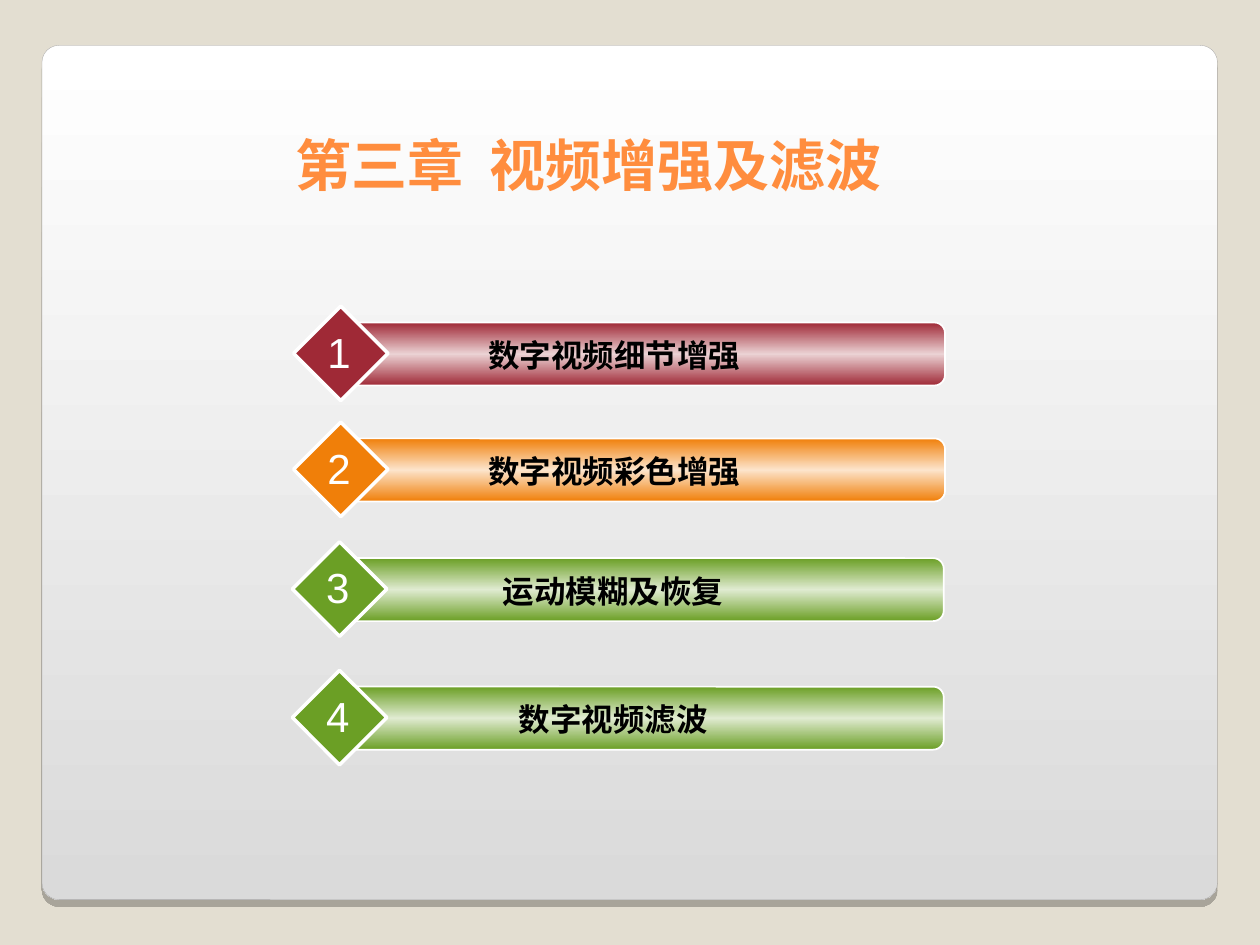
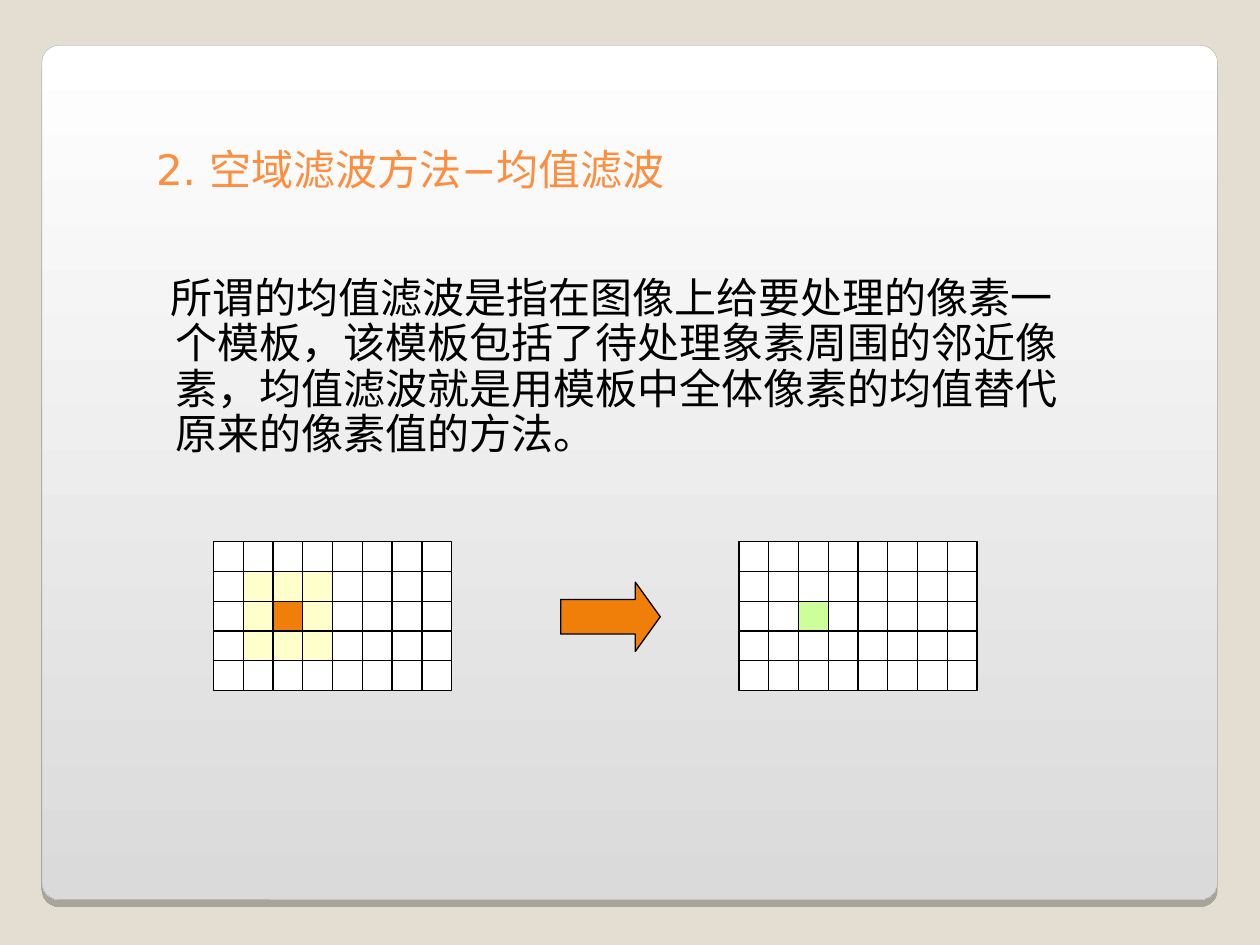
from collections import namedtuple

from lxml import etree
from pptx import Presentation
from pptx import util as u
from pptx.dml.color import RGBColor
from pptx.enum import shapes, text
from pptx.oxml.ns import qn

# The slide is a grid of 100 columns by 75 rows of square units.
COLUMNS, ROWS = 100, 75
UNIT = u.Inches(0.1)

SAND = RGBColor(0xE3, 0xDE, 0xD1)
PANEL_LINE = RGBColor(0xA4, 0xA3, 0xA3)
PANEL_GREY = RGBColor(0xDA, 0xDA, 0xDA)
TITLE_ORANGE = RGBColor(0xFF, 0x8D, 0x3E)
WHITE = RGBColor(0xFF, 0xFF, 0xFF)
BLACK = RGBColor(0x00, 0x00, 0x00)
RED = RGBColor(0x9F, 0x29, 0x36)
PALE_RED = RGBColor(0xEB, 0xD2, 0xD4)
ORANGE = RGBColor(0xF0, 0x7F, 0x09)
PALE_ORANGE = RGBColor(0xFC, 0xE4, 0xCB)
GREEN = RGBColor(0x6B, 0x9F, 0x25)
PALE_GREEN = RGBColor(0xE0, 0xEB, 0xD1)
CREAM = RGBColor(0xFF, 0xFF, 0xCC)
LIME = RGBColor(0xCC, 0xFF, 0x99)

CHINESE_FONT = "Noto Sans CJK SC"
NUMBER_FONT = "Arial"
BODY_FONT = "DejaVu Sans"

Box = namedtuple("Box", "left top width height")

CHAPTER_ITEMS = [
    (Box(23.3, 24.3, 51.7, 7.5), "数字视频细节增强", RED, PALE_RED),
    (Box(23.3, 33.5, 51.7, 7.5), "数字视频彩色增强", ORANGE, PALE_ORANGE),
    (Box(23.2, 43.0, 51.7, 7.5), "运动模糊及恢复", GREEN, PALE_GREEN),
    (Box(23.2, 53.2, 51.7, 7.5), "数字视频滤波", GREEN, PALE_GREEN),
]
MEAN_FILTER_TEXT = (
    "所谓的均值滤波是指在图像上给要处理的像素一个模板，"
    "该模板包括了待处理象素周围的邻近像素，"
    "均值滤波就是用模板中全体像素的均值替代原来的像素值的方法。"
)


def inside(box, left, top, width, height):
    return Box(box.left + left, box.top + top, width, height)


def to_emu(box):
    return [round(length * UNIT) for length in box]


def fill_gradient(shape, colors):
    """Spread the colours evenly from top to bottom."""
    shape.fill.gradient()
    shape.fill.gradient_angle = 270
    stops = shape._element.spPr.find(qn("a:gradFill")).find(qn("a:gsLst"))
    for stop in list(stops):
        stops.remove(stop)
    for index, color in enumerate(colors):
        position = round(100000 * index / (len(colors) - 1))
        stop = etree.SubElement(stops, qn("a:gs"), pos=str(position))
        etree.SubElement(stop, qn("a:srgbClr"), val=str(color))


def add_figure(parent, kind, box, colors, line_color, line_width):
    shape = parent.shapes.add_shape(kind, *to_emu(box))
    shape.shadow.inherit = False
    if len(colors) == 1:
        shape.fill.solid()
        shape.fill.fore_color.rgb = colors[0]
    else:
        fill_gradient(shape, colors)
    shape.line.color.rgb = line_color
    shape.line.width = u.Pt(line_width)
    return shape


def add_text(parent, box, words, font_name, size, color, bold=False,
             align=text.PP_ALIGN.LEFT, anchor=text.MSO_ANCHOR.TOP, wrap=True):
    text_frame = parent.shapes.add_textbox(*to_emu(box)).text_frame
    text_frame.word_wrap = wrap
    text_frame.vertical_anchor = anchor
    text_frame.text = words
    paragraph = text_frame.paragraphs[0]
    paragraph.alignment = align
    run = paragraph.runs[0]
    run.font.name = font_name
    run.font.size = u.Pt(size)
    run.font.bold = bold
    run.font.color.rgb = color
    etree.SubElement(run.font._element, qn("a:ea"), typeface=font_name)
    return text_frame


def add_title(slide, box, words, font_name, size, anchor, bold=False):
    add_text(slide, box, words, font_name, size, TITLE_ORANGE, bold, anchor=anchor)


def add_panel(slide, box):
    panel = add_figure(slide, shapes.MSO_SHAPE.ROUNDED_RECTANGLE, box,
                       [WHITE, PANEL_GREY], PANEL_LINE, 0.17)
    panel.adjustments[0] = 0.02
    effects = panel._element.spPr.find(qn("a:effectLst"))
    shadow = etree.SubElement(effects, qn("a:outerShdw"), blurRad="0",
                              dist=str(u.Pt(4)), dir="5400000",
                              algn="t", rotWithShape="0")
    color = etree.SubElement(shadow, qn("a:srgbClr"), val=str(BLACK))
    etree.SubElement(color, qn("a:alpha"), val="25000")


def add_framed_slide(presentation):
    slide = presentation.slides.add_slide(presentation.slide_layouts[6])
    slide.background.fill.solid()
    slide.background.fill.fore_color.rgb = SAND
    add_panel(slide, Box(3.33, 3.6, 93.3, 67.8))
    return slide


def add_chapter_item(slide, box, number, label, color, pale_color):
    group = slide.shapes.add_group_shape()
    add_figure(group, shapes.MSO_SHAPE.ROUNDED_RECTANGLE,
               inside(box, 4.2, 1.3, 47.5, 5), [color, pale_color, color], WHITE, 1)
    add_figure(group, shapes.MSO_SHAPE.DIAMOND,
               inside(box, 0, 0, box.height, box.height), [color], WHITE, 2)
    add_text(group, inside(box, 6.7, 1.9, 37.5, 4), label, CHINESE_FONT, 18,
             BLACK, bold=True, align=text.PP_ALIGN.CENTER)
    add_text(group, inside(box, 1.7, 1.1, 3.8, 5), str(number), NUMBER_FONT, 24,
             WHITE, align=text.PP_ALIGN.CENTER, wrap=False)


def add_pixel_grid(slide, box, marked, columns=8, rows=5):
    """Draw white pixels; marked gives other colours by (row, column)."""
    group = slide.shapes.add_group_shape()
    width, height = box.width / columns, box.height / rows
    for row in range(rows):
        for column in range(columns):
            pixel = inside(box, column * width, row * height, width, height)
            color = marked.get((row, column), WHITE)
            add_figure(group, shapes.MSO_SHAPE.RECTANGLE, pixel, [color], BLACK, 0.75)


def add_body(slide, box, words):
    text_frame = add_text(slide, box, words, BODY_FONT, 24, BLACK)
    text_frame.margin_left = u.Inches(0.2)
    text_frame.margin_top = u.Inches(0.1)
    paragraph = text_frame.paragraphs[0]
    paragraph.line_spacing = 0.9
    paragraph.space_before = u.Pt(2.5)
    properties = paragraph._p.get_or_add_pPr()
    properties.set("marL", str(u.Inches(0.29)))
    properties.set("indent", str(u.Inches(-0.04)))


def build_chapter_slide(presentation):
    slide = add_framed_slide(presentation)
    add_title(slide, Box(22.5, 6.8, 52.7, 12.5), "第三章  视频增强及滤波",
              CHINESE_FONT, 32, text.MSO_ANCHOR.MIDDLE, bold=True)
    for number, (box, label, color, pale_color) in enumerate(CHAPTER_ITEMS, 1):
        add_chapter_item(slide, box, number, label, color, pale_color)


def build_mean_filter_slide(presentation):
    slide = add_framed_slide(presentation)
    add_title(slide, Box(11.4, 6.7, 76.1, 9.2), "2. 空域滤波方法−均值滤波",
              BODY_FONT, 24, text.MSO_ANCHOR.BOTTOM)
    add_body(slide, Box(9, 21, 77.2, 18.9), MEAN_FILTER_TEXT)

    center = (2, 2)
    template = {(row, column): CREAM for row in range(1, 4) for column in range(1, 4)}
    template[center] = ORANGE
    add_pixel_grid(slide, Box(16.95, 43, 18.9, 11.8), template)
    add_pixel_grid(slide, Box(58.65, 43, 18.9, 11.8), {center: LIME})
    arrow = add_figure(slide, shapes.MSO_SHAPE.RIGHT_ARROW,
                       Box(44.5, 46.2, 7.9, 5.5), [ORANGE], BLACK, 0.75)
    arrow.adjustments[1] = 0.36


def main():
    presentation = Presentation()
    presentation.slide_width = COLUMNS * UNIT
    presentation.slide_height = ROWS * UNIT
    build_chapter_slide(presentation)
    build_mean_filter_slide(presentation)
    presentation.save("out.pptx")


if __name__ == "__main__":
    main()
